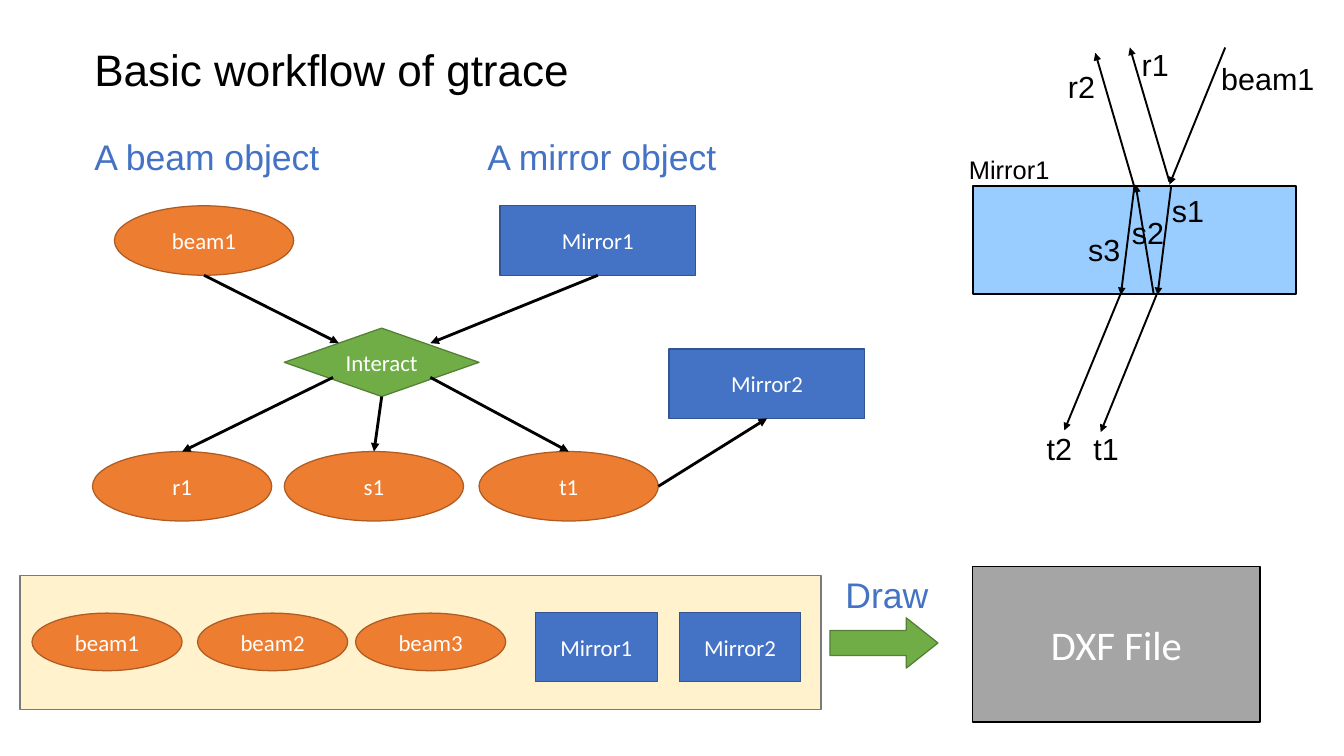
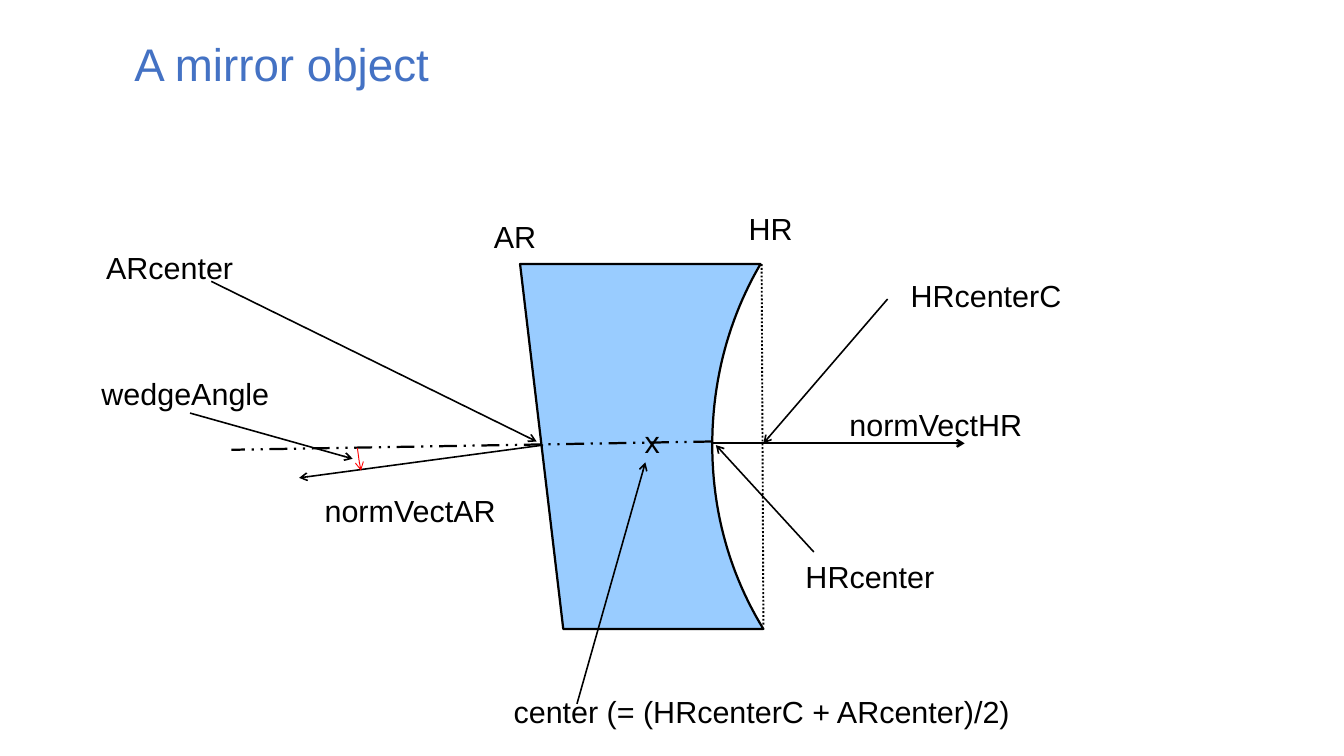
from lxml import etree
from pptx import Presentation
from pptx.dml.color import RGBColor
from pptx.enum.dml import MSO_LINE
from pptx.enum.shapes import MSO_CONNECTOR, MSO_SHAPE
from pptx.enum.text import MSO_ANCHOR, MSO_AUTO_SIZE, PP_ALIGN
from pptx.oxml.ns import qn
from pptx.util import Cm, Pt

OVAL, BOX, DIAMOND = MSO_SHAPE.OVAL, MSO_SHAPE.RECTANGLE, MSO_SHAPE.FLOWCHART_DECISION
RIGHT_ARROW, STRAIGHT = MSO_SHAPE.RIGHT_ARROW, MSO_CONNECTOR.STRAIGHT
DOTTED, DASH_DOT = MSO_LINE.ROUND_DOT, MSO_LINE.DASH_DOT_DOT
LEFT, CENTER = PP_ALIGN.LEFT, PP_ALIGN.CENTER
TOP, MIDDLE = MSO_ANCHOR.TOP, MSO_ANCHOR.MIDDLE
TITLE_ONLY = 5

# Shared look
BLACK, WHITE, BLUE, RED = "000000", "FFFFFF", "4472C4", "FF0000"
GLASS = "99CCFF"
BEAM = dict(kind=OVAL, fill="ED7D31", line="AF5C24")
MIRROR = dict(kind=BOX, fill=BLUE, line="325491")
ACTION = dict(kind=DIAMOND, fill="70AD47", line="538035")
INSET_X, INSET_Y = 0.33, 0.18

# Workflow content, in cm: nodes are text, style, left, top, width, height
NODES = {
    "beam": ("beam1", BEAM, 3.18, 5.72, 4.98, 1.93),
    "mirror": ("Mirror1", MIRROR, 13.89, 5.72, 5.44, 1.93),
    "interact": ("Interact", ACTION, 7.9, 9.12, 5.41, 1.9),
    "reflected": ("r1", BEAM, 2.57, 12.55, 4.98, 1.93),
    "inside": ("s1", BEAM, 7.9, 12.55, 4.98, 1.93),
    "transmitted": ("t1", BEAM, 13.31, 12.55, 4.98, 1.93),
    "next mirror": ("Mirror2", MIRROR, 18.59, 9.7, 5.44, 1.93),
}
# Each end of a link is a node and a point as a share of its width and height
LINKS = [
    (("beam", 0.5, 1), ("interact", 0.28, 0.22)),
    (("mirror", 0.5, 1), ("interact", 0.75, 0.22)),
    (("interact", 0.25, 0.72), ("reflected", 0.5, 0)),
    (("interact", 0.5, 1), ("inside", 0.5, 0)),
    (("interact", 0.75, 0.72), ("transmitted", 0.5, 0)),
    (("transmitted", 1, 0.5), ("next mirror", 0.5, 1)),
]
STORED = [
    ("beam1", BEAM, 0.89, 17.04, 4.17, 1.6),
    ("beam2", BEAM, 5.49, 17.04, 4.17, 1.6),
    ("beam3", BEAM, 9.88, 17.04, 4.17, 1.6),
    ("Mirror1", MIRROR, 14.88, 17.02, 3.38, 1.93),
    ("Mirror2", MIRROR, 18.87, 17.02, 3.38, 1.93),
]
# Labels are text, left, top, width
HEADINGS = [
    ("A beam object", 2.29, 3.56, 6.99),
    ("A mirror object", 13.21, 3.56, 7.11),
    ("Draw", 23.16, 15.75, 3),
]
RAYS = [
    ((34.04, 1.32), (32.49, 5.13)),
    ((32.54, 5.16), (32.16, 8.2)),
    ((32.13, 8.2), (30.58, 12.01)),
    ((32.05, 8.15), (31.55, 5.13)),
    ((31.52, 5.16), (31.14, 8.2)),
    ((32.49, 5.05), (31.39, 1.32)),
    ((31.52, 5.21), (30.43, 1.47)),
    ((31.14, 8.15), (29.57, 11.96)),
]
RAY_LABELS = [
    ("beam1", 33.6, 1.5, 3.4),
    ("r1", 31.39, 1.09, 1.42),
    ("r2", 29.34, 1.7, 1.42),
    ("s1", 32.23, 5.16, 1.57),
    ("s2", 31.12, 5.77, 1.57),
    ("s3", 29.9, 6.25, 1.57),
    ("t1", 30.05, 11.76, 1.4),
    ("t2", 28.75, 11.76, 1.4),
]

# Mirror content
HR_UPPER = [(21.13, 7.34), (20.27, 8.81), (19.79, 10.52), (19.79, 12.37)]
HR_LOWER = [(19.79, 12.37), (19.79, 14.25), (20.29, 15.98), (21.21, 17.48)]
AR_TOP, AR_BOTTOM = (14.45, 7.34), (15.65, 17.48)
WEDGE_ARC = [(9.93, 12.45), (9.96, 12.65), (9.98, 12.88), (10.03, 13.08)]
HR_NORMAL = ((19.76, 12.32), (26.8, 12.32))
HR_CHORD = ((21.16, 7.34), (21.21, 17.4))
AXIS = ((19.76, 12.27), (6.43, 12.5))
POINTERS = [
    ((15.09, 12.37), (8.31, 13.28)),
    ((22.61, 15.34), (19.89, 12.37)),
    ((24.66, 8.31), (21.21, 12.32)),
    ((16.03, 19.56), (17.93, 12.85)),
    ((5.87, 7.82), (14.91, 12.27)),
    ((5.28, 11.48), (9.8, 12.75)),
]
MIRROR_LABELS = [
    ("normVectHR", 23.27, 11.1, 5.51),
    ("normVectAR", 8.69, 13.49, 5.46),
    ("HR", 20.47, 5.66, 1.9),
    ("AR", 13.39, 5.87, 1.85),
    ("HRcenter", 22.05, 15.34, 4.29),
    ("HRcenterC", 24.97, 7.52, 4.9),
    ("x", 17.58, 11.58, 1.09),
    ("center (= (HRcenterC + ARcenter)/2)", 13.94, 19.08, 14.6),
    ("ARcenter", 2.62, 6.73, 4.24),
    ("wedgeAngle", 2.49, 10.24, 5.38),
]


def rgb(value):
    return RGBColor.from_string(value)


def write(shape, text, size=24, font="Arial", color=BLACK, align=LEFT, anchor=TOP):
    shape.text_frame.vertical_anchor = anchor
    para = shape.text_frame.paragraphs[0]
    para.alignment = align
    span = para.add_run()
    span.text = text
    span.font.size, span.font.name = Pt(size), font
    span.font.color.rgb = rgb(color)


def set_label(shape, text, left, top, width, size=24, color=BLACK):
    """Fit a one-line text shape to its font size."""
    shape.left, shape.top, shape.width = Cm(left), Cm(top), Cm(width)
    shape.height = Pt(size * 1.15) + Cm(2 * INSET_Y)
    frame = shape.text_frame
    frame.word_wrap, frame.auto_size = False, MSO_AUTO_SIZE.SHAPE_TO_FIT_TEXT
    frame.margin_left = frame.margin_right = Cm(INSET_X)
    frame.margin_top = frame.margin_bottom = Cm(INSET_Y)
    write(shape, text, size=size, color=color)


def add_labels(page, labels, **style):
    for label in labels:
        set_label(page.shapes.add_textbox(0, 0, 0, 0), *label, **style)


def add_page(deck, *title, **style):
    page = deck.slides.add_slide(deck.slide_layouts[TITLE_ONLY])
    set_label(page.shapes.title, *title, **style)
    return page


def paint(shape, fill, line, weight):
    shape.shadow.inherit = False
    if fill:
        shape.fill.solid()
        shape.fill.fore_color.rgb = rgb(fill)
    else:
        shape.fill.background()
    shape.line.color.rgb = rgb(line)
    shape.line.width = Pt(weight)


def add_block(page, kind, left, top, width, height, fill, line=BLACK, weight=1,
              text="", size=18):
    shape = page.shapes.add_shape(kind, Cm(left), Cm(top), Cm(width), Cm(height))
    paint(shape, fill, line, weight)
    if text:
        write(shape, text, size=size, font="Calibri", color=WHITE, align=CENTER, anchor=MIDDLE)
    return shape


def add_nodes(page, nodes):
    for text, style, left, top, width, height in nodes:
        add_block(page, left=left, top=top, width=width, height=height, text=text, **style)


def add_tip(shape, tip):
    etree.SubElement(shape.line._get_or_add_ln(), qn("a:tailEnd"), type=tip)


def add_line(page, start, end, weight, tip=None, dash=None):
    ends = [Cm(value) for value in (*start, *end)]
    line = page.shapes.add_connector(STRAIGHT, *ends)
    line.line.color.rgb = rgb(BLACK)
    line.line.width = Pt(weight)
    if dash:
        line.line.dash_style = dash
    if tip:
        add_tip(line, tip)
    etree.SubElement(line._element.spPr, qn("a:effectLst"))


def curve(points, steps=24):
    """Points along a cubic Bezier curve."""
    result = []
    for step in range(steps + 1):
        t = step / steps
        weights = ((1 - t) ** 3, 3 * t * (1 - t) ** 2, 3 * t * t * (1 - t), t ** 3)
        result.append(tuple(sum(w * p[axis] for w, p in zip(weights, points))
                            for axis in (0, 1)))
    return result


def add_outline(page, points, fill, line, weight, close):
    first, *rest = [(Cm(x), Cm(y)) for x, y in points]
    builder = page.shapes.build_freeform(*first)
    builder.add_line_segments(rest, close=close)
    shape = builder.convert_to_shape()
    paint(shape, fill, line, weight)
    return shape


def node_point(name, across, down):
    left, top, width, height = NODES[name][2:]
    return left + across * width, top + down * height


def build_workflow(deck):
    page = add_page(deck, "Basic workflow of gtrace", 2.29, 0.99, 14.33, size=34.7)
    add_labels(page, HEADINGS, size=28, color=BLUE)

    # Interaction flow
    add_nodes(page, NODES.values())
    for start, end in LINKS:
        add_line(page, node_point(*start), node_point(*end), 2.25, tip="triangle")

    # Drawing to file
    add_block(page, BOX, 0.56, 16, 22.25, 3.73, "FFF2CC", line="7A7A7A")
    add_nodes(page, STORED)
    arrow = add_block(page, RIGHT_ARROW, 23.06, 17.17, 3, 1.4, ACTION["fill"],
                      line=ACTION["line"])
    arrow.adjustments[1] = 0.63
    add_block(page, BOX, 27.03, 15.75, 7.98, 4.32, "A5A5A5", text="DXF File", size=32)

    # Ray diagram
    add_block(page, BOX, 27.03, 5.16, 8.97, 3.02, GLASS, weight=1.75)
    for start, end in RAYS:
        add_line(page, start, end, 1.5, tip="triangle")
    add_labels(page, RAY_LABELS)
    add_labels(page, [("Mirror1", 26.59, 4.11, 2.92)], size=20)


def build_mirror(deck):
    page = add_page(deck, "A mirror object", 3.4, 0.81, 8.94, size=36, color=BLUE)

    # Mirror body with its curved HR face
    body = [AR_TOP, *curve(HR_UPPER), *curve(HR_LOWER)[1:], AR_BOTTOM]
    add_outline(page, body, GLASS, BLACK, 1.75, close=True)

    # Axis, chord, normals and pointers
    add_line(page, *HR_NORMAL, 1.75, tip="arrow")
    add_line(page, *HR_CHORD, 1.5, dash=DOTTED)
    add_line(page, *AXIS, 1.75, dash=DASH_DOT)
    for start, end in POINTERS:
        add_line(page, start, end, 1.25, tip="arrow")
    wedge = add_outline(page, curve(WEDGE_ARC, 6), None, RED, 0, close=False)
    add_tip(wedge, "arrow")
    add_labels(page, MIRROR_LABELS)


deck = Presentation()
deck.slide_width, deck.slide_height = Cm(37.34), Cm(21.01)
build_workflow(deck)
build_mirror(deck)
deck.save("out.pptx")
